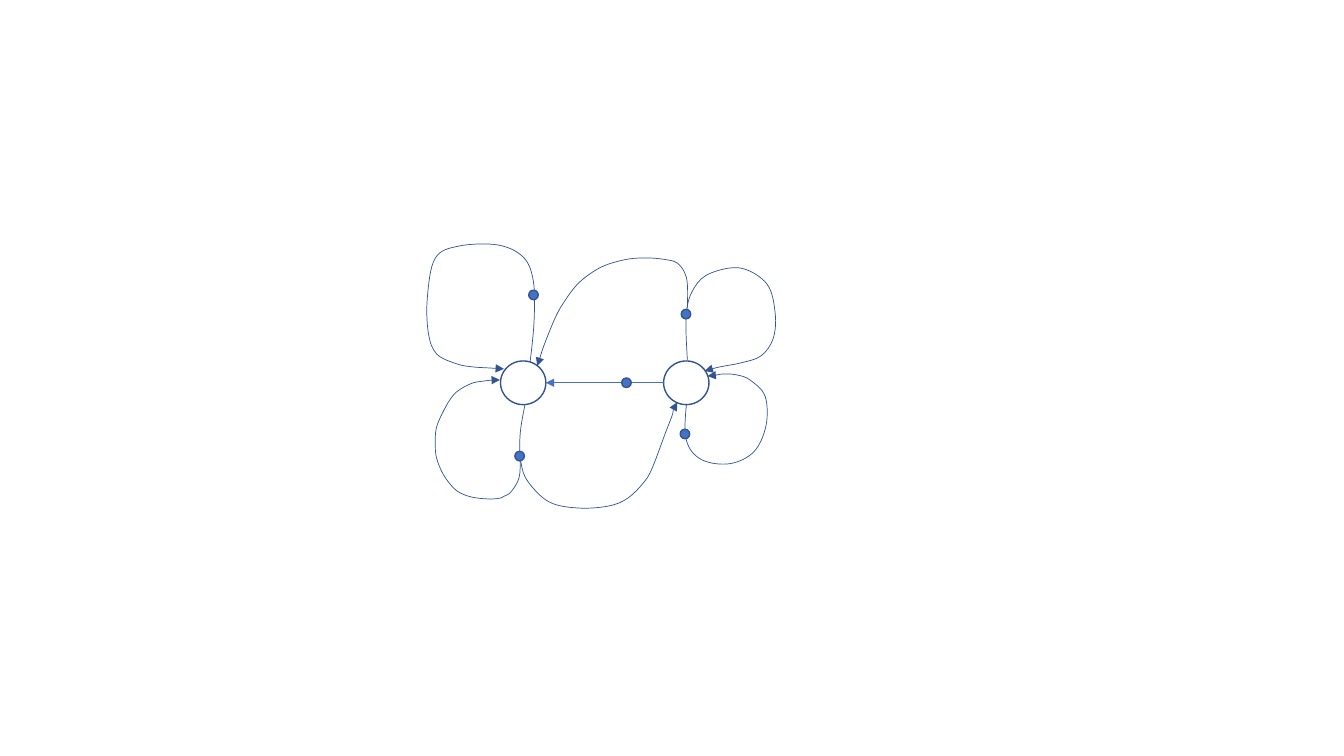
from lxml.etree import SubElement
from pptx import Presentation
from pptx.dml.color import RGBColor
from pptx.enum.shapes import MSO_CONNECTOR, MSO_SHAPE
from pptx.oxml.ns import qn
from pptx.util import Pt

COLORS = {"outline": "325491", "accent": "4472C4"}

# Centres of the two nodes and of the branch dots, in points
NODE_W, NODE_H, DOT = 32.4, 31.2, 6.8
AXIS_Y = 273.4
LEFT_X, RIGHT_X = 373.7, 490.2
DOTS = [(371.2, 325.8), (489.3, 310), (447.5, AXIS_Y), (490, 224.4), (381.1, 210.7)]

# Points that each curved arrow passes through
CURVES = {
    "right lower loop": [
        (490.3, 288.7), (490.3, 314.6), (501.1, 328.3), (521.3, 331.2),
        (538.6, 322.6), (547.2, 303.8), (546.5, 283), (535.7, 271.4),
        (526.3, 267.8), (517, 267.1), (508.3, 268.6), (505.4, 268.6)],
    "right upper loop": [
        (491, 257), (490.3, 223.2), (496.1, 205.2), (507.6, 195.1),
        (529.2, 191.5), (547.9, 203), (553.7, 223.9), (552.2, 241.9),
        (543.6, 254.2), (529.2, 259.2), (514.1, 262.1), (503.3, 265)],
    "right to left arc": [
        (491, 220.3), (491, 203), (488.9, 194.4), (483.8, 187.9),
        (477.4, 185.8), (464.4, 184.3), (449.3, 185), (432.7, 189.4),
        (421.2, 195.8), (411.8, 203.8), (403.2, 215.3), (396.7, 226.8),
        (388.8, 246.2), (385.9, 254.9), (383.8, 261.4)],
    "left to right arc": [
        (375.1, 288.7), (371.5, 311), (372.2, 330.5), (377.3, 344.2),
        (392.4, 358.6), (413.3, 362.9), (434.9, 361.4), (448.6, 355.7),
        (460.8, 343.4), (466.6, 332.6), (475.2, 309.6), (480.2, 296.6),
        (481, 292.3), (483.8, 287.3)],
    "left lower loop": [
        (371.5, 326.2), (370.8, 341.3), (365, 351.4), (360.7, 354.2),
        (357.8, 355.7), (350.6, 356.4), (340.6, 355.7), (331.9, 353.5),
        (324.7, 349.2), (316.8, 339.1), (311.8, 326.9), (311, 316.8),
        (311.8, 305.3), (317.5, 292.3), (323.3, 283), (329, 277.9),
        (337.7, 273.6), (345.6, 272.2), (352.8, 271.4), (357.1, 271.4)],
    "left upper loop": [
        (378.7, 258.5), (381.6, 227.5), (380.9, 200.2), (373.7, 183.6),
        (355.7, 175), (328.3, 175.7), (311, 184.3), (305.3, 212.4),
        (306, 237.6), (311.8, 252.7), (326.2, 259.9), (337.7, 262.1),
        (348.5, 262.8), (360, 263.5)],
}


def set_line(sp, color, width, arrow=False):
    sp.line.color.rgb = RGBColor.from_string(COLORS[color])
    sp.line.width = Pt(width)
    if arrow:
        ln = sp.line._get_or_add_ln()
        SubElement(ln, qn("a:tailEnd"), type="triangle")


def add_circle(shapes, center, width, height, fill=None):
    x, y = center
    sp = shapes.add_shape(MSO_SHAPE.OVAL, Pt(x - width / 2), Pt(y - height / 2),
                          Pt(width), Pt(height))
    sp.shadow.inherit = False
    if fill:
        sp.fill.solid()
        sp.fill.fore_color.rgb = RGBColor.from_string(COLORS[fill])
    else:
        sp.fill.background()
    set_line(sp, "outline", 1)


def add_straight_arrow(shapes, x1, x2, y):
    cxn = shapes.add_connector(MSO_CONNECTOR.STRAIGHT, Pt(x1), Pt(y), Pt(x2), Pt(y))
    set_line(cxn, "accent", 0.5, arrow=True)
    SubElement(cxn._element.spPr, qn("a:effectLst"))


def bezier_segments(pts):
    """Smooth segments: each tangent is parallel to the chord of the neighbours."""
    def control(i, sign):
        return tuple(p + sign * (b - a) / 6
                     for p, a, b in zip(pts[i], pts[i - 1], pts[i + 1]))

    def middle(p, q):
        return tuple((a + b) / 2 for a, b in zip(p, q))

    last = len(pts) - 1
    for i in range(last):
        c1 = control(i, 1) if i > 0 else None
        c2 = control(i + 1, -1) if i + 1 < last else None
        yield (c1 or middle(pts[i], c2)), (c2 or middle(pts[i + 1], c1)), pts[i + 1]


def add_curved_arrow(shapes, points):
    start, *rest = [(Pt(x), Pt(y)) for x, y in points]
    builder = shapes.build_freeform(*start)
    builder.add_line_segments(rest, close=False)
    sp = builder.convert_to_shape()
    sp.shadow.inherit = False
    sp.fill.background()
    set_line(sp, "outline", 0.5, arrow=True)

    # Turn the straight segments into cubic curves
    outline = next(sp._element.iter(qn("a:path")))
    pts = [(int(pt.get("x")), int(pt.get("y"))) for pt in outline.iter(qn("a:pt"))]
    for segment in outline.findall(qn("a:lnTo")):
        outline.remove(segment)
    for segment in bezier_segments(pts):
        curve = SubElement(outline, qn("a:cubicBezTo"))
        for x, y in segment:
            SubElement(curve, qn("a:pt"), x=str(round(x)), y=str(round(y)))


def main():
    prs = Presentation()
    prs.slide_width, prs.slide_height = Pt(960), Pt(540)
    slide = prs.slides.add_slide(prs.slide_layouts[6])
    shapes = slide.shapes.add_group_shape().shapes

    # Nodes and the straight arrow between them
    for x in (LEFT_X, RIGHT_X):
        add_circle(shapes, (x, AXIS_Y), NODE_W, NODE_H)
    add_straight_arrow(shapes, RIGHT_X - NODE_W / 2, LEFT_X + NODE_W / 2, AXIS_Y)

    # Curved arrows, with the branch dots on top
    for points in CURVES.values():
        add_curved_arrow(shapes, points)
    for center in DOTS:
        add_circle(shapes, center, DOT, DOT, "accent")

    prs.save("out.pptx")


if __name__ == "__main__":
    main()
